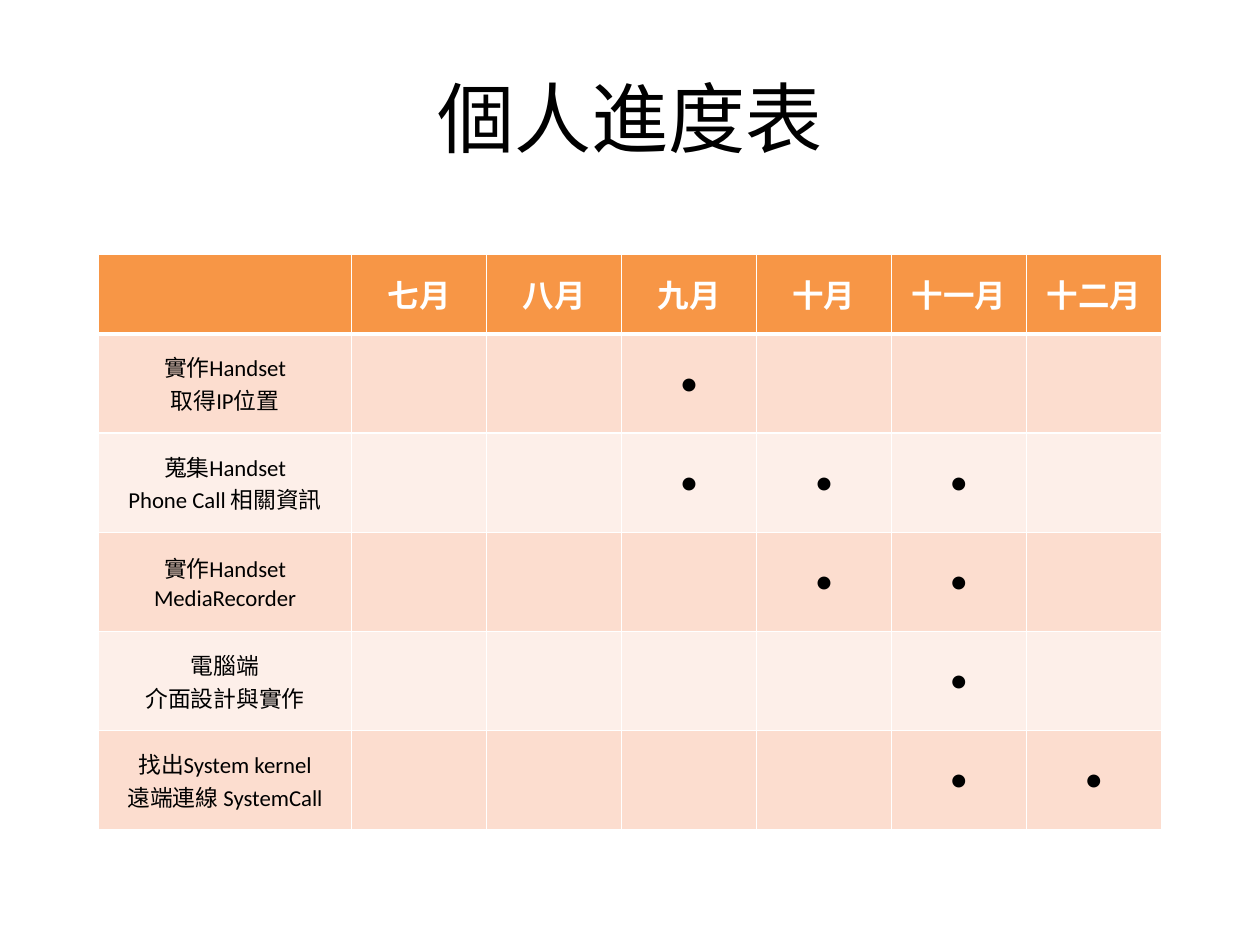
"""Build a one-slide monthly schedule of personal progress."""
from dataclasses import dataclass

from lxml.etree import SubElement
from pptx import Presentation
from pptx.dml.color import RGBColor
from pptx.enum.text import MSO_ANCHOR, PP_ALIGN
from pptx.oxml.ns import qn
from pptx.util import Cm, Pt


@dataclass(frozen=True)
class Theme:
    font: str = "Calibri"
    ink: str = "000000"
    paper: str = "FFFFFF"
    header: str = "F79646"
    bands: tuple = ("FCDDCF", "FDEFE9")
    title_size: int = 44
    month_size: int = 18
    task_size: int = 13
    mark_size: int = 16
    grid_line: int = 1
    header_line: int = 3


MONTHS = ["七月", "八月", "九月", "十月", "十一月", "十二月"]
SCHEDULE = [
    ("實作Handset\n取得IP位置", {"九月"}),
    ("蒐集Handset\nPhone Call 相關資訊", {"九月", "十月", "十一月"}),
    ("實作Handset\nMediaRecorder", {"十月", "十一月"}),
    ("電腦端\n介面設計與實作", {"十一月"}),
    ("找出System kernel\n遠端連線 SystemCall", {"十一月", "十二月"}),
]


def write(frame, text, *, theme, size, color, bold=False):
    frame.word_wrap = True
    frame.text = text
    for paragraph in frame.paragraphs:
        paragraph.alignment = PP_ALIGN.CENTER
        font = paragraph.font
        font.name, font.size, font.bold = theme.font, Pt(size), bold
        font.color.rgb = RGBColor.from_string(color)


class ScheduleSlide:
    def __init__(self, presentation, theme):
        self.theme = theme
        self.slide = presentation.slides.add_slide(presentation.slide_layouts[6])

    def title(self, text, left, top, width, height):
        heading = self.slide.shapes.add_textbox(left, top, width, height).text_frame
        heading.vertical_anchor = MSO_ANCHOR.MIDDLE
        write(heading, text, theme=self.theme, size=self.theme.title_size,
              color=self.theme.ink)

    def cell(self, cell, text, fill, top_line, bottom_line, **style):
        cell.vertical_anchor = MSO_ANCHOR.MIDDLE
        properties = cell._tc.get_or_add_tcPr()
        grid = self.theme.grid_line
        for side, points in zip("LRTB", (grid, grid, top_line, bottom_line)):
            line = SubElement(properties, qn(f"a:ln{side}"), w=str(Pt(points)))
            SubElement(SubElement(line, qn("a:solidFill")), qn("a:srgbClr"),
                       val=self.theme.paper)
        cell.fill.solid()
        cell.fill.fore_color.rgb = RGBColor.from_string(fill)
        write(cell.text_frame, text, theme=self.theme, **style)

    def schedule(self, months, tasks, left, top, widths, heights):
        theme = self.theme
        table = self.slide.shapes.add_table(
            len(heights), len(widths), left, top, sum(widths), sum(heights)).table
        for column, width in zip(table.columns, widths):
            column.width = width
        for row, height in zip(table.rows, heights):
            row.height = height

        for column, month in enumerate(["", *months]):
            self.cell(table.cell(0, column), month, theme.header,
                      theme.grid_line, theme.header_line,
                      size=theme.month_size, color=theme.paper, bold=True)
        for row, (task, active) in enumerate(tasks, start=1):
            marks = ["●" if month in active else "" for month in months]
            for column, text in enumerate([task, *marks]):
                self.cell(table.cell(row, column), text,
                          theme.bands[(row - 1) % 2],
                          theme.header_line if row == 1 else theme.grid_line,
                          theme.grid_line, color=theme.ink,
                          size=theme.mark_size if column else theme.task_size)


def main():
    presentation = Presentation()
    presentation.slide_width, presentation.slide_height = Cm(25.4), Cm(19.05)
    progress = ScheduleSlide(presentation, Theme())
    progress.title("個人進度表", Cm(1.27), Cm(0.76), Cm(22.86), Cm(3.18))
    progress.schedule(
        MONTHS, SCHEDULE, Cm(1.98), Cm(5.13),
        widths=[Cm(5.11)] + [Cm(2.72)] * len(MONTHS),
        heights=[Cm(1.6)] + [Cm(2)] * len(SCHEDULE))
    presentation.save("out.pptx")


if __name__ == "__main__":
    main()
